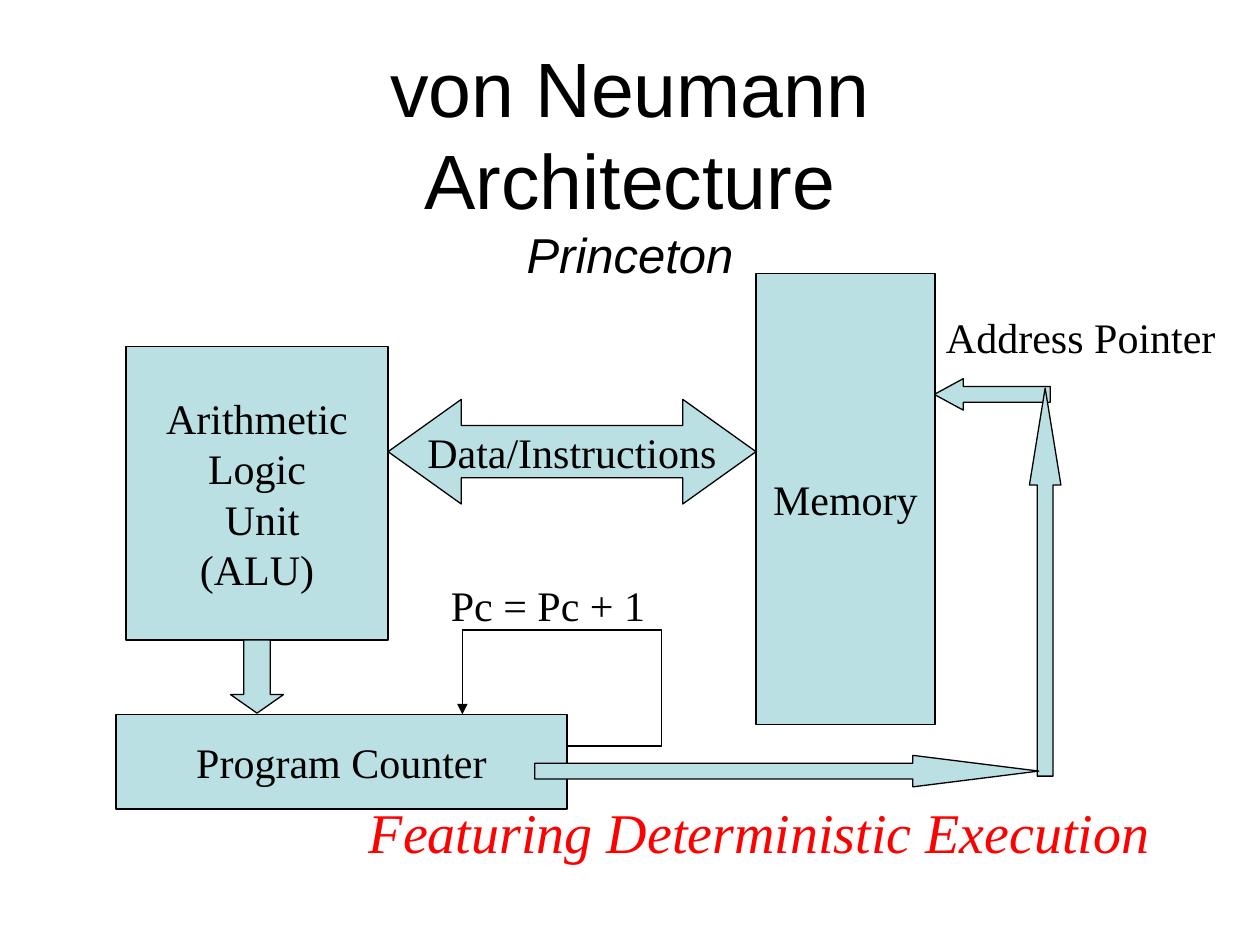
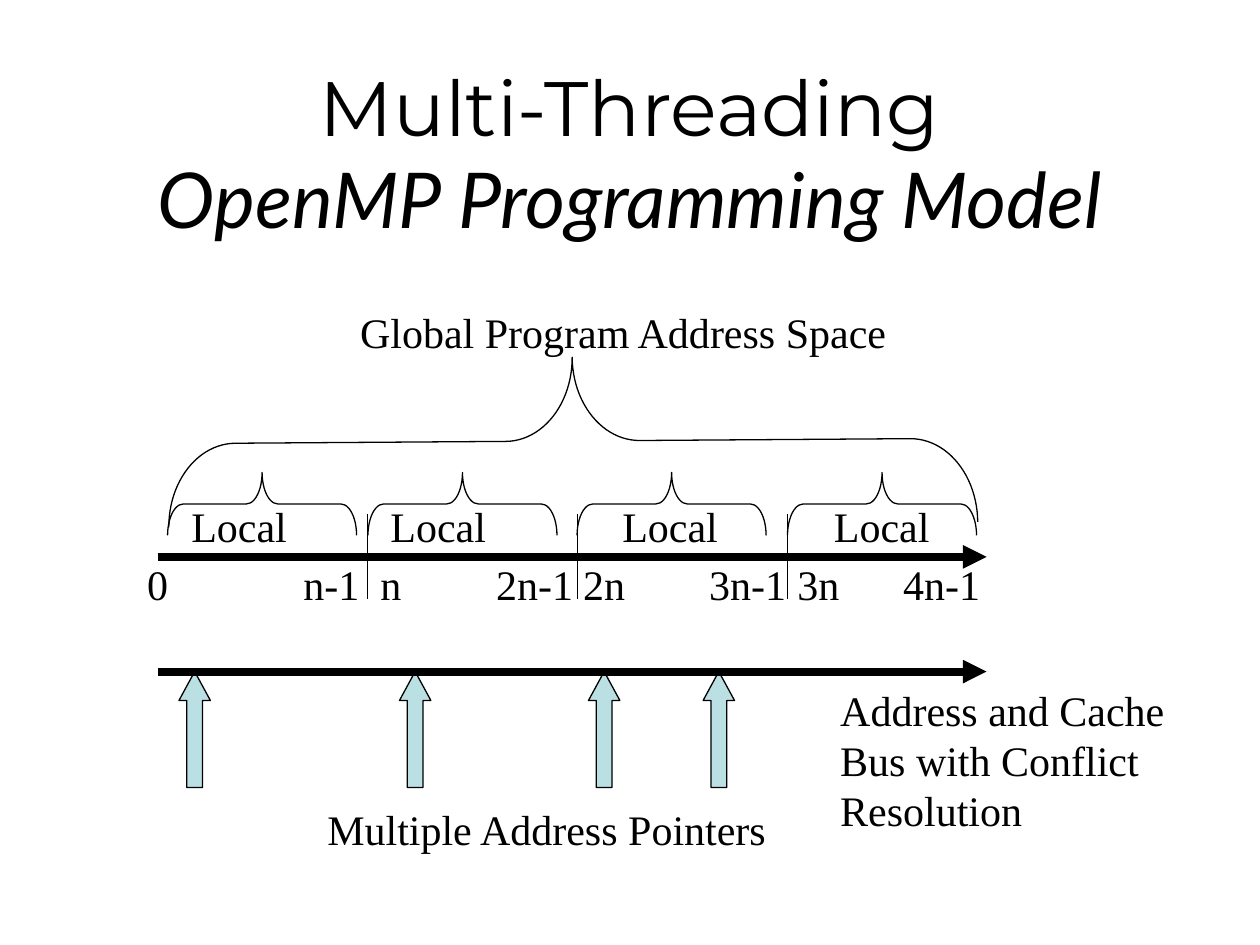
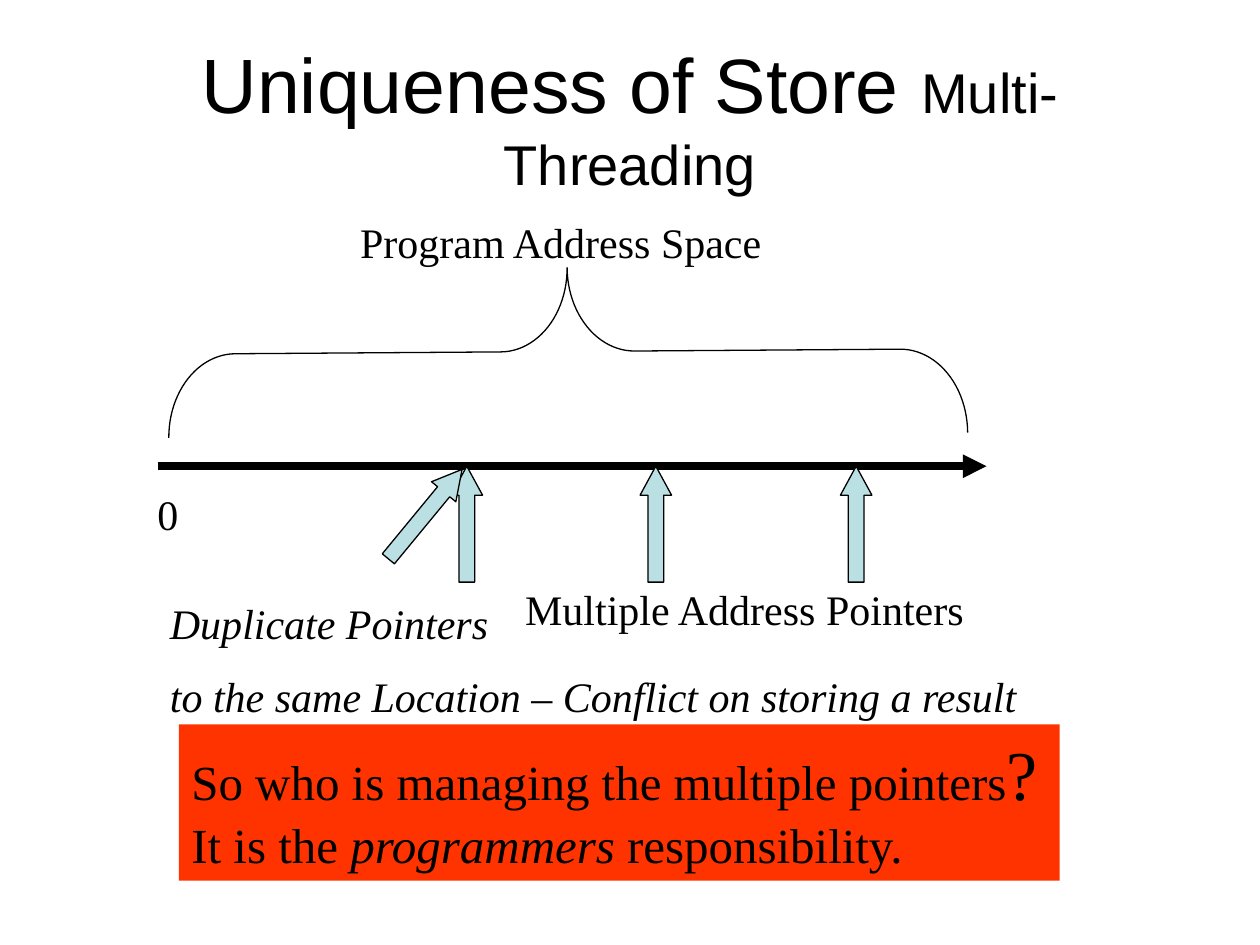
import pptx
import pptx.dml.color
import pptx.enum.shapes
import pptx.enum.text
import pptx.oxml
import pptx.oxml.ns
import pptx.util
from dataclasses import dataclass

Inches = pptx.util.Inches
Pt = pptx.util.Pt
SHAPE = pptx.enum.shapes.MSO_SHAPE
ALIGN = pptx.enum.text.PP_ALIGN
ANCHOR = pptx.enum.text.MSO_ANCHOR
NS = pptx.oxml.ns.nsdecls("a")


@dataclass(frozen=True)
class Theme:
    ink: str = "000000"
    fill: str = "BBE0E3"
    accent: str = "FF0000"
    alert: str = "FF3300"
    title_font: str = "Arial"
    body_font: str = "Times New Roman"
    title: int = 44
    subtitle: int = 28
    body: int = 24
    large: int = 32
    huge: int = 40
    thin: float = 0.75
    thick: float = 4.5


def rgb(value):
    return pptx.dml.color.RGBColor.from_string(value)


def box(x, y, w, h):
    return [Inches(v) for v in (x, y, w, h)]


class Deck:
    def __init__(self, theme):
        self.t = theme
        self.prs = pptx.Presentation()
        self.prs.slide_width, self.prs.slide_height = Inches(10), Inches(7.5)
        self.s = None

    def slide(self, frame, runs):
        self.s = self.prs.slides.add_slide(self.prs.slide_layouts[5])
        sp = self.s.shapes.title
        sp.left, sp.top, sp.width, sp.height = box(*frame)
        self.fill_text(sp.text_frame, [runs], align=ALIGN.CENTER, anchor=ANCHOR.MIDDLE,
                       name=self.t.title_font, size=self.t.title)

    def fill_text(self, tf, paragraphs, align=ALIGN.LEFT, anchor=ANCHOR.TOP, wrap=True,
                  gap=0, tabs=(), **fmt):
        """Fill tf; a paragraph is a string or a list of (text, format) runs."""
        frame = {"word_wrap": wrap, "vertical_anchor": anchor,
                 "auto_size": pptx.enum.text.MSO_AUTO_SIZE.NONE}
        for key, value in frame.items():
            setattr(tf, key, value)
        base = {"name": self.t.body_font, "size": self.t.body, "color": self.t.ink, **fmt}
        for i, runs in enumerate(paragraphs):
            p = tf.add_paragraph() if i else tf.paragraphs[0]
            p.alignment = align
            if i and gap:
                p.space_before = Pt(gap)
            if tabs:
                stops = "".join(f'<a:tab pos="{Inches(x)}" algn="l"/>' for x in tabs)
                p._p.get_or_add_pPr().append(
                    pptx.oxml.parse_xml(f"<a:tabLst {NS}>{stops}</a:tabLst>"))
            for text, own in [(runs, {})] if isinstance(runs, str) else runs:
                for j, line in enumerate(text.split("\n")):
                    if j:
                        p.add_line_break()
                    if line:
                        self.format_run(p.add_run(), line, {**base, **own})

    def format_run(self, r, text, fmt):
        r.text = text
        for key, value in fmt.items():
            if key == "color":
                r.font.color.rgb = rgb(value)
            else:
                setattr(r.font, key, Pt(value) if key == "size" else value)

    def text(self, frame, paragraphs, **fmt):
        self.fill_text(self.s.shapes.add_textbox(*box(*frame)).text_frame, paragraphs, **fmt)

    def shape(self, kind, frame, fill=None, line=True, rotation=0, adjust=()):
        sp = self.s.shapes.add_shape(kind, *box(*frame))
        sp.shadow.inherit = False
        sp.rotation = rotation
        for i, value in enumerate(adjust):
            sp.adjustments[i] = value
        if fill:
            sp.fill.solid()
            sp.fill.fore_color.rgb = rgb(fill)
        else:
            sp.fill.background()
        if line:
            sp.line.color.rgb = rgb(self.t.ink)
            sp.line.width = Pt(self.t.thin)
        else:
            sp.line.fill.background()
        return sp

    def block(self, frame, paragraphs, kind=SHAPE.RECTANGLE, adjust=()):
        sp = self.shape(kind, frame, self.t.fill, adjust=adjust)
        self.fill_text(sp.text_frame, paragraphs, align=ALIGN.CENTER,
                       anchor=ANCHOR.MIDDLE, wrap=False)

    def pointer(self, x, y, length=0.92, head=0.92, rotation=0):
        self.shape(SHAPE.UP_ARROW, (x, y, 0.25, length), self.t.fill,
                   rotation=rotation, adjust=(0.5, head))

    def brace(self, frame, curve, rotation=90):
        """Brace that points up; frame is the one before turning."""
        self.shape(SHAPE.LEFT_BRACE, frame, rotation=rotation, adjust=(curve, 0.5))

    def line(self, start, end, width=None, arrow=False):
        c = self.s.shapes.add_connector(pptx.enum.shapes.MSO_CONNECTOR.STRAIGHT,
                                        *box(*start, *end))
        c.line.color.rgb = rgb(self.t.ink)
        c.line.width = Pt(width or self.t.thin)
        props = c.element.spPr
        if arrow:
            props.get_or_add_ln().append(
                pptx.oxml.parse_xml(f'<a:tailEnd {NS} type="triangle"/>'))
        props.append(pptx.oxml.parse_xml(f"<a:effectLst {NS}/>"))

    def axis(self, y):
        self.line((1.25, y), (7.83, y), self.t.thick, arrow=True)


def von_neumann(d):
    d.slide((0.75, 0.27, 8.5, 2.03),
            [("von Neumann\nArchitecture\n", {}),
             ("Princeton", {"size": d.t.subtitle, "italic": True})])
    d.pointer(7.75, 2.67, rotation=270)
    d.text((7.41, 2.42, 2.34, 0.5), ["Address Pointer"])
    d.block((1, 2.75, 2.08, 2.33), ["Arithmetic", "Logic", " Unit", "(ALU)"])
    d.block((6, 2.17, 1.42, 3.58), ["Memory"])
    d.block((0.92, 5.67, 3.58, 0.75), ["Program Counter"])

    loop = [(4.5, 5.92), (5.25, 5.92), (5.25, 5), (3.67, 5), (3.67, 5.67)]
    for start, end in zip(loop, loop[1:]):
        d.line(start, end, arrow=end == loop[-1])
    d.text((3.48, 4.55, 1.74, 0.5), ["Pc = Pc + 1"], wrap=False)

    d.block((3.08, 3.17, 2.92, 0.83), ["Data/Instructions"],
            SHAPE.LEFT_RIGHT_ARROW, (0.5, 0.7))
    d.pointer(8.17, 3.08, 3.08, 3.08)
    d.pointer(6.12, 4.12, 4, 4, rotation=90)
    d.shape(SHAPE.DOWN_ARROW, (1.83, 5.08, 0.42, 0.58), d.t.fill, adjust=(0.5, 0.35))
    d.text((2.83, 6.28, 7.17, 0.63), ["Featuring Deterministic Execution"],
           size=d.t.large, color=d.t.accent, italic=True)


def multi_threading(d):
    d.slide((0.75, 0.42, 8.5, 1.57),
            [("Multi-Threading\n", {"name": "Montserrat"}),
             ("OpenMP Programming Model", {"name": "Lato", "italic": True})])
    d.axis(4.42)
    d.text((2.5, 6.33, 3.7, 0.5), ["Multiple Address Pointers"], wrap=False)
    d.brace((3.88, 0.29, 1.33, 6.42), 0.4, 89.6)
    d.text((2.76, 2.38, 4.39, 0.5), ["Global Program Address Space"], wrap=False)
    for i in range(1, 4):
        x = 1.25 + i * 5 / 3
        d.line((x, 4.08), (x, 4.75))
    d.text((1.07, 4.38, 7.2, 0.5), ["\t".join(
        ["0", "n-1", "n", "2n-1", "2n", "3n-1", "3n", "4n-1"])],
        tabs=(1.24, 1.85, 2.77, 3.46, 4.46, 5.16, 6))
    for x in (1.83, 3.42, 5.08, 6.75):
        d.brace((x, 3.25, 0.5, 1.5), 0.25)
    d.text((1.42, 3.92, 6.92, 0.5), ["\t".join(["Local"] * 4)], tabs=(1.58, 3.42, 5.1))
    for x in (1.42, 3.17, 4.67, 5.58):
        d.pointer(x, 5.33)
    d.axis(5.33)
    d.text((6.57, 5.38, 3.43, 1.3), ["Address and Cache", "Bus with Conflict", "Resolution"])


def uniqueness_of_store(d):
    d.slide((0.5, 0.38, 9, 1.09),
            [("Uniqueness of Store ", {}), ("Multi-Threading", {"size": d.t.large})])
    d.axis(3.7)
    for x in (3.58, 5.08, 6.67):
        d.pointer(x, 3.7)
    d.text((4.07, 4.58, 3.7, 0.5), ["Multiple Address Pointers"], wrap=False)
    d.brace((3.84, -0.38, 1.33, 6.34), 0.4, 89.6)
    d.text((2.76, 1.67, 3.4, 0.5), ["Program Address Space"], wrap=False)
    d.pointer(3.25, 3.62, rotation=39.5)
    d.text((1.25, 4.69, 7.25, 1.1),
           ["Duplicate Pointers", "to the same Location – Conflict on storing a result"],
           gap=13, italic=True)
    answer = d.shape(SHAPE.RECTANGLE, (1.42, 5.75, 6.99, 1.24), d.t.alert, line=False)
    d.fill_text(answer.text_frame,
                [[("So who is managing the multiple pointers", {}), ("?", {"size": d.t.huge})],
                 [("It is the ", {}), ("programmers", {"italic": True}),
                  (" responsibility.", {})]],
                wrap=False, size=d.t.subtitle)
    d.text((1.15, 3.83, 0.37, 0.5), ["0"], wrap=False)


def main():
    d = Deck(Theme())
    von_neumann(d)
    multi_threading(d)
    uniqueness_of_store(d)
    d.prs.save("out.pptx")


if __name__ == "__main__":
    main()
